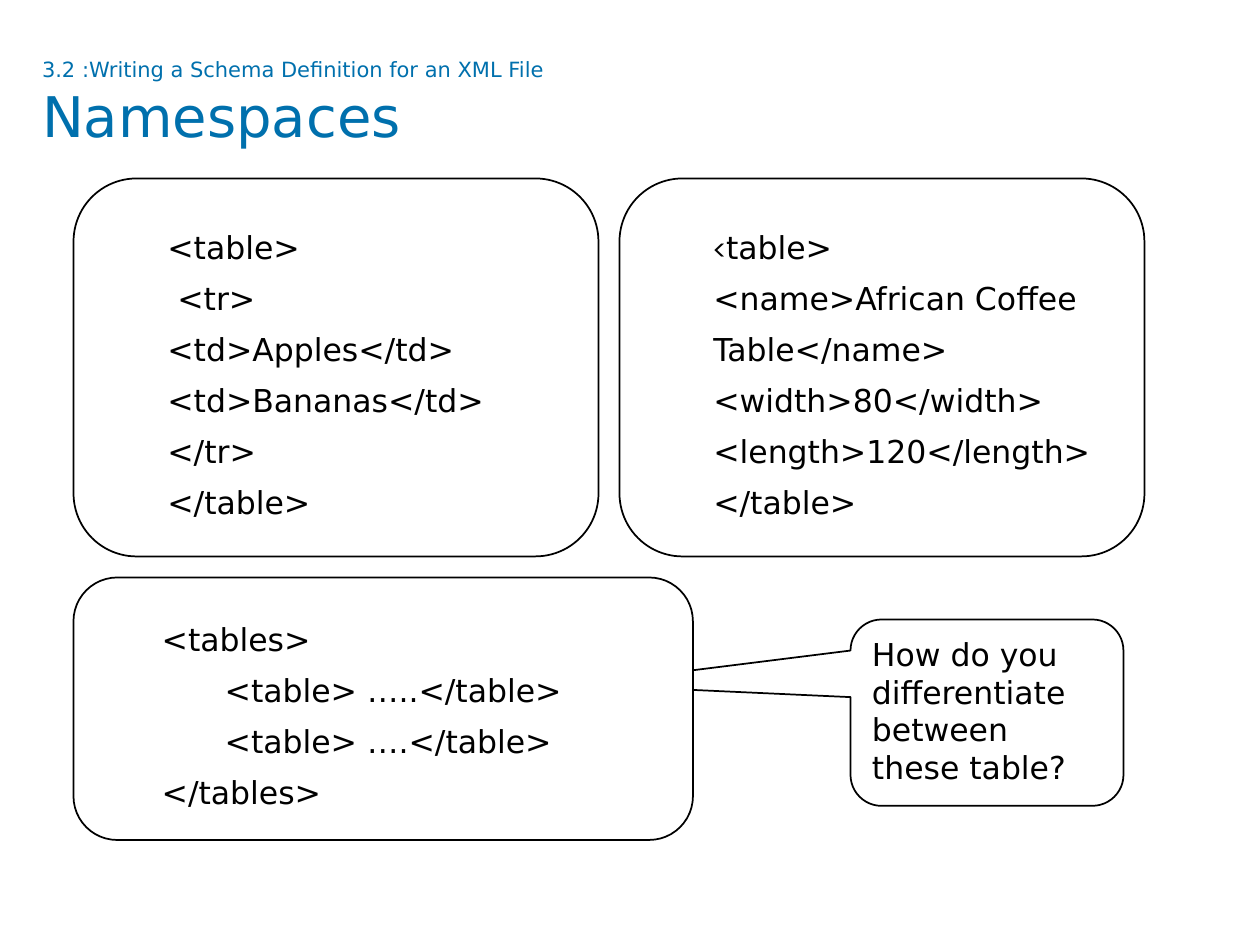
from pptx import Presentation
from pptx.dml.color import RGBColor
from pptx.enum.shapes import MSO_SHAPE
from pptx.enum.text import MSO_ANCHOR, PP_ALIGN
from pptx.util import Pt

BLACK = RGBColor(0x00, 0x00, 0x00)
WHITE = RGBColor(0xFF, 0xFF, 0xFF)
BLUE = RGBColor(0x00, 0x70, 0xAD)
FONT = "DejaVu Sans"

SECTION = "3.2 :Writing a Schema Definition for an XML File"
TITLE = "Namespaces"
HTML_TABLE = ["<table>", " <tr>", "<td>Apples</td>", "<td>Bananas</td>",
              "</tr>", "</table>"]
FURNITURE_TABLE = [
    "<table>",
    "<name>African Coffee Table</name> <width>80</width> <length>120</length>",
    "</table>"]
BOTH_TABLES = ["<tables>", "\t<table> …..</table>", "\t<table> ….</table>",
               "</tables>"]
QUESTION = "How do you differentiate between these table?"

LEFT, TOP, GAP = 42, 102, 12
BOX_W, BOX_H = 300, 216
RIGHT = LEFT + BOX_W + GAP
LOWER = TOP + BOX_H + GAP


def style(r, size=18, color=BLACK, font=FONT):
    r.font.size = Pt(size)
    r.font.name = font
    r.font.color.rgb = color


def outlined(s, shape, box, lines):
    """Add a white, black-edged shape with one left-aligned paragraph a line."""
    sp = s.shapes.add_shape(shape, *map(Pt, box))
    sp.shadow.inherit = False
    sp.fill.solid()
    sp.fill.fore_color.rgb = WHITE
    sp.line.color.rgb = BLACK
    sp.line.width = Pt(1)
    tf = sp.text_frame
    tf.word_wrap = True
    tf.text = "\n".join(lines)
    for p in tf.paragraphs:
        p.alignment = PP_ALIGN.LEFT
        for r in p.runs:
            style(r)
    return sp


def code_box(s, box, lines):
    sp = outlined(s, MSO_SHAPE.ROUNDED_RECTANGLE, box, lines)
    sp.text_frame.vertical_anchor = MSO_ANCHOR.MIDDLE
    for p in sp.text_frame.paragraphs:
        p.level = 1
        p.line_spacing = 1.35
        pPr = p._p.get_or_add_pPr()
        pPr.set("marL", str(Pt(36)))
        pPr.set("indent", "0")
    return sp


prs = Presentation()
prs.slide_width, prs.slide_height = Pt(720), Pt(540)
s = prs.slides.add_slide(prs.slide_layouts[6])

furniture = code_box(s, (RIGHT, TOP, BOX_W, BOX_H), FURNITURE_TABLE)
p = furniture.text_frame.paragraphs[0]
p.text = ""
for text, font in (("<", "Cabin"), ("table>", FONT)):
    r = p.add_run()
    r.text = text
    style(r, font=font)

# The lower code box covers the end of the callout's tail
callout = outlined(s, MSO_SHAPE.ROUNDED_RECTANGULAR_CALLOUT,
                   (486, 354, 156, 106.5), [QUESTION])
callout.text_frame.vertical_anchor = MSO_ANCHOR.TOP
callout.adjustments[0] = -1.5
callout.adjustments[1] = -0.15

code_box(s, (LEFT, TOP, BOX_W, BOX_H), HTML_TABLE)
code_box(s, (LEFT, LOWER, 354, 150), BOTH_TABLES)

heading = s.shapes.add_textbox(Pt(24), Pt(32.4), Pt(672), Pt(67.7))
tf = heading.text_frame
tf.word_wrap = True
tf.margin_left = tf.margin_right = tf.margin_top = tf.margin_bottom = 0
p = tf.paragraphs[0]
p.text = SECTION + "\v" + TITLE
for r, size in zip(p.runs, (12, 32)):
    style(r, size, BLUE)
p._p.br_lst[0].get_or_add_rPr().set("sz", "1200") if hasattr(
    p._p.br_lst[0], "get_or_add_rPr") else None

prs.save("out.pptx")
